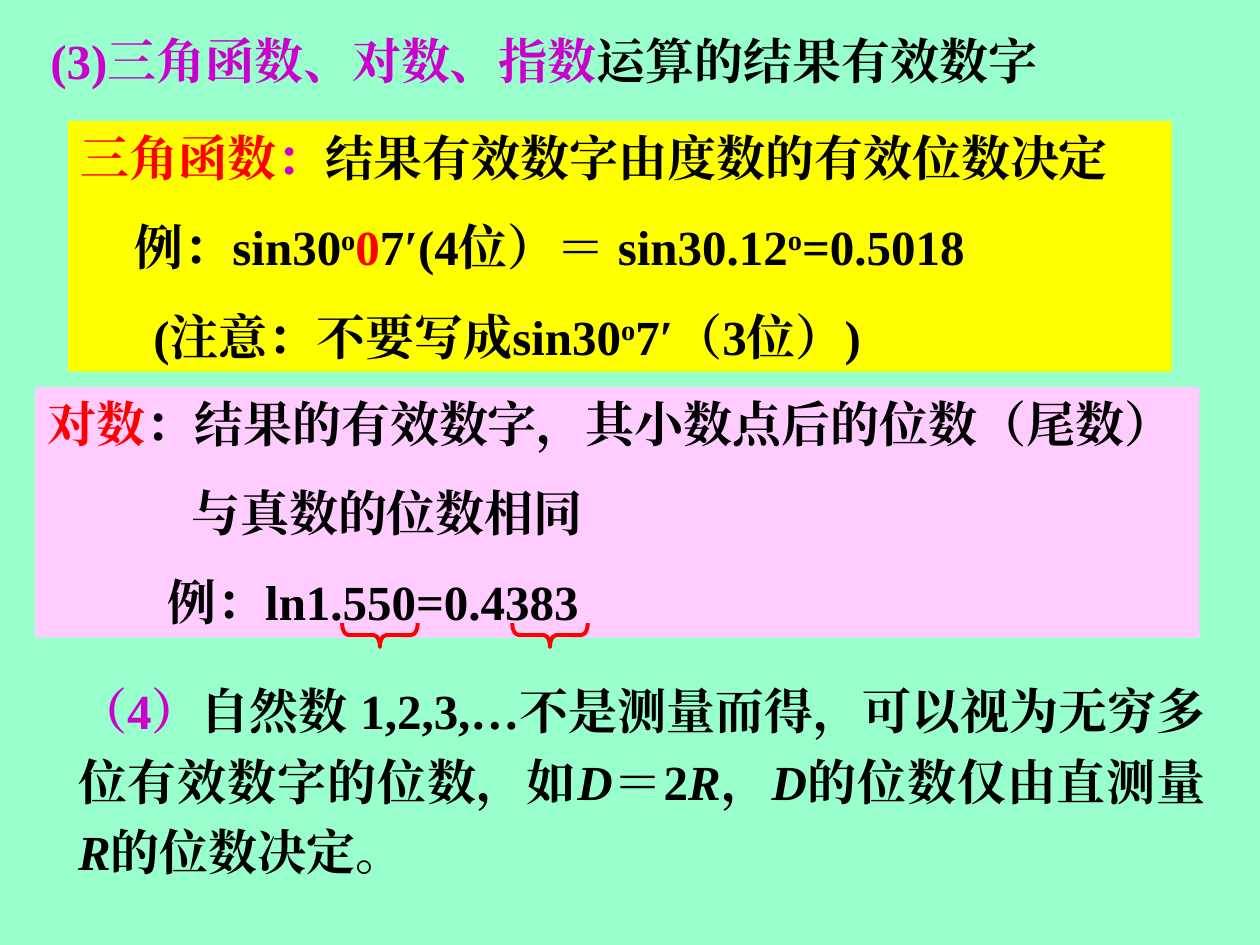
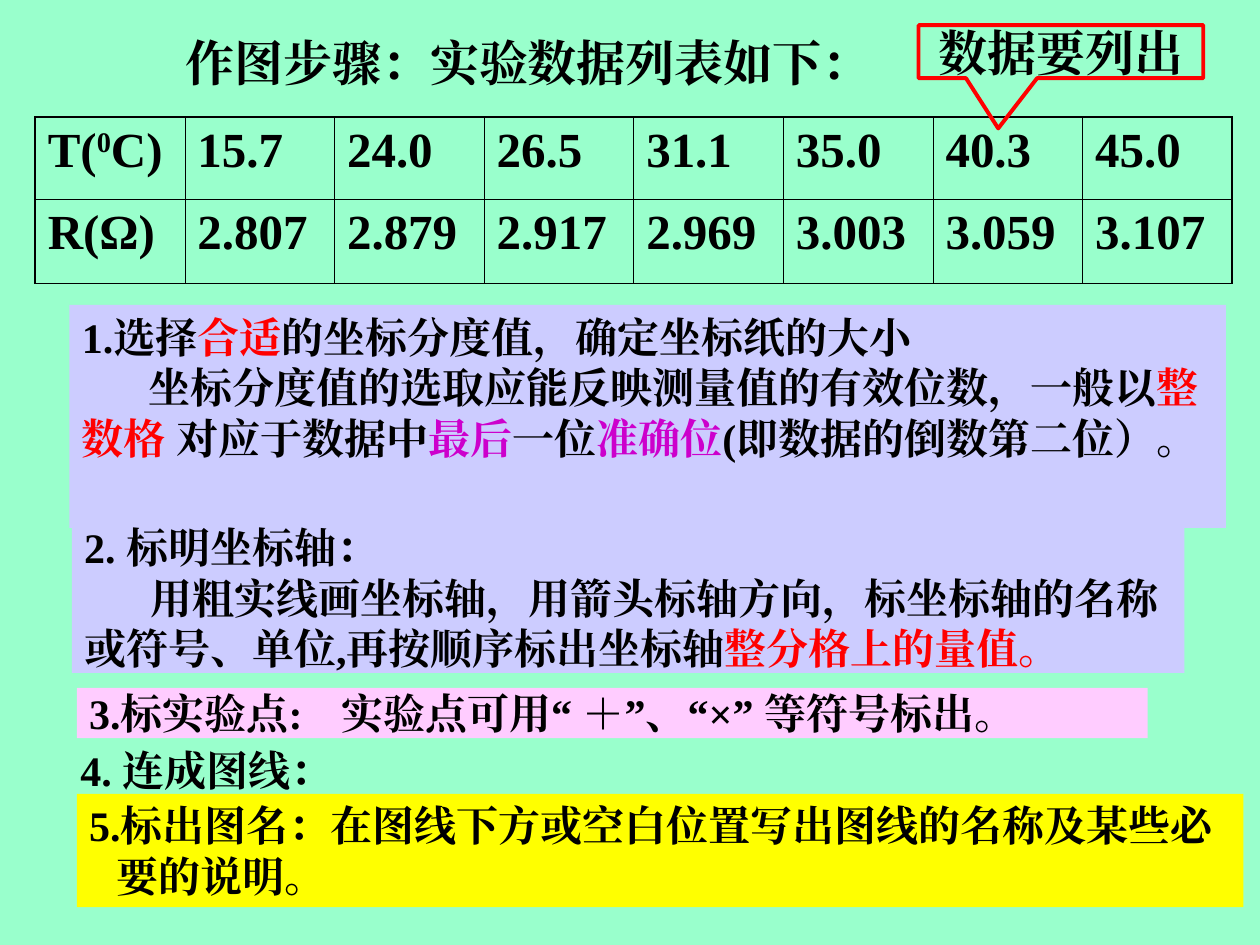
from dataclasses import dataclass

from lxml import etree
from pptx import Presentation
from pptx.dml.color import RGBColor
from pptx.enum.lang import MSO_LANGUAGE_ID as LANG
from pptx.enum.shapes import MSO_SHAPE as SHAPE
from pptx.enum.text import MSO_ANCHOR as ANCHOR, MSO_AUTO_SIZE as AUTO, PP_ALIGN as ALIGN
from pptx.oxml.ns import qn
from pptx.util import Emu, Pt

PX = 9144  # 100 px to the inch


@dataclass(frozen=True)
class Theme:
    font: str = "Times New Roman"
    large: int = 28
    small: int = 24
    gap: float = 17.5
    outer_line: float = 1.08
    inner_line: float = 0.45
    accent_line: float = 2.25
    mint: str = "99FFCC"
    yellow: str = "FFFF00"
    pink: str = "FFCCFF"
    lilac: str = "CCCCFF"
    black: str = "000000"
    red: str = "FF0000"
    purple: str = "CC00CC"


@dataclass(frozen=True)
class Para:
    pieces: tuple
    first: int = 0  # first-line indent, px
    tab: int = 0    # tab stop, px


def para(*pieces, first=0, tab=0):
    return Para(pieces, first, tab)


def px(n):
    return Emu(n * PX)


def rgb(color):
    return RGBColor.from_string(color)


class Deck:
    def __init__(self, theme):
        self.theme = theme
        self.prs = Presentation()
        self.prs.slide_width, self.prs.slide_height = px(1000), px(750)
        fill = self.prs.slide_master.background.fill
        fill.solid()
        fill.fore_color.rgb = rgb(theme.mint)
        self.slide = None

    def new_slide(self):
        self.slide = self.prs.slides.add_slide(self.prs.slide_layouts[1])

    def put_text(self, tf, paras, size, align=ALIGN.LEFT, space=0, leading=1):
        """Fill a text frame; a piece is a string or (string, style)."""
        for i, item in enumerate(paras):
            p = tf.paragraphs[0] if i == 0 else tf.add_paragraph()
            p.alignment, p.line_spacing = align, leading
            p.space_before = Pt(space)
            pPr = p._p.get_or_add_pPr()
            pPr.set("marL", "0")
            pPr.set("indent", str(px(item.first)))
            etree.SubElement(pPr, qn("a:buNone"))
            if item.tab:
                tabs = etree.SubElement(pPr, qn("a:tabLst"))
                etree.SubElement(tabs, qn("a:tab"), pos=str(px(item.tab)), algn="l")
            for piece in item.pieces:
                text, style = (piece, {}) if isinstance(piece, str) else piece
                r = p.add_run()
                r.text = text
                self.style_run(r, size, **style)

    def style_run(self, r, size, color=None, italic=False, raised=False):
        f = r.font
        f.name, f.size, f.bold, f.italic = self.theme.font, Pt(size), True, italic
        f.color.rgb = rgb(color or self.theme.black)
        f.language_id = LANG.SIMPLIFIED_CHINESE
        rPr = r._r.get_or_add_rPr()
        etree.SubElement(rPr, qn("a:ea"), typeface=self.theme.font)
        if raised:
            rPr.set("baseline", "30000")

    def frame(self, sp, box, paras, size, fill=None, anchor=ANCHOR.TOP,
              insets=(10, 5, 10, 5), **layout):
        """Place and fill any shape that carries text."""
        sp.left, sp.top, sp.width, sp.height = map(px, box)
        if fill:
            sp.fill.solid()
            sp.fill.fore_color.rgb = rgb(fill)
        else:
            sp.fill.background()
        tf = sp.text_frame
        tf.word_wrap, tf.auto_size, tf.vertical_anchor = True, AUTO.NONE, anchor
        tf.margin_left, tf.margin_top, tf.margin_right, tf.margin_bottom = map(px, insets)
        self.put_text(tf, paras, size, **layout)

    def title(self, box, *pieces, **style):
        self.frame(self.slide.shapes.title, box, [para(*pieces)],
                   self.theme.large, **style)

    def body(self, box, paras, size, **style):
        self.frame(self.slide.placeholders[1], box, paras, size, **style)

    def shape(self, kind, box, line=None):
        sp = self.slide.shapes.add_shape(kind, *map(px, box))
        sp.shadow.inherit = False
        if line:
            sp.line.color.rgb = rgb(line)
            sp.line.width = Pt(self.theme.accent_line)
        else:
            sp.line.fill.background()
        return sp

    def panel(self, box, paras, size, fill, **style):
        self.frame(self.shape(SHAPE.RECTANGLE, box), box, paras, size, fill, **style)

    def callout(self, box, text, tip):
        sp = self.shape(SHAPE.RECTANGULAR_CALLOUT, box, self.theme.red)
        sp.adjustments[0], sp.adjustments[1] = tip
        self.frame(sp, box, [para(text)], self.theme.large,
                   anchor=ANCHOR.MIDDLE, align=ALIGN.CENTER)

    def brace(self, box):
        sp = self.shape(SHAPE.RIGHT_BRACE, box, self.theme.red)
        sp.fill.background()
        sp.rotation = 90
        sp.adjustments[0] = 0.26

    def table(self, box, rows, heights):
        last_row, last_col = len(rows) - 1, len(rows[0]) - 1
        table = self.slide.shapes.add_table(len(rows), len(rows[0]), *map(px, box)).table
        table.first_row = table.horz_banding = False
        for i, (row, height) in enumerate(zip(rows, heights)):
            table.rows[i].height = px(height)
            for j, item in enumerate(row):
                cell = table.cell(i, j)
                self.put_text(cell.text_frame, [item], self.theme.large)
                self.borders(cell, L=j == 0, R=j == last_col, T=i == 0, B=i == last_row)
                cell.fill.background()

    def borders(self, cell, **outer_sides):
        tcPr = cell._tc.get_or_add_tcPr()
        for side, outer in outer_sides.items():
            width = self.theme.outer_line if outer else self.theme.inner_line
            ln = etree.SubElement(tcPr, qn(f"a:ln{side}"), w=str(Pt(width)))
            fill = etree.SubElement(ln, qn("a:solidFill"))
            etree.SubElement(fill, qn("a:srgbClr"), val=self.theme.black)


THEME = Theme()
RED, PURPLE = {"color": THEME.red}, {"color": THEME.purple}
ITALIC, RAISED = {"italic": True}, {"raised": True}


def significant_digits(deck):
    t = deck.theme
    deck.new_slide()
    deck.title((30, 19, 951, 57), ("(3)三角函数、对数、指数", PURPLE), "运算的结果有效数字")

    # Rules for trigonometric functions and logarithms
    deck.panel((54, 96, 876, 199), [
        para(("三角函数", RED), ("：", PURPLE), "结果有效数字由度数的有效位数决定"),
        para("例：sin30", ("o", RAISED), ("0", RED), "7′(4位）＝ sin30.12",
             ("o", RAISED), "=0.5018", first=43),
        para("(注意：不要写成sin30", ("o", RAISED), "7′（3位）)", first=58),
    ], t.large, t.yellow, space=t.gap)
    deck.panel((28, 307, 924, 199), [
        para(("对数", RED), "：结果的有效数字，其小数点后的位数（尾数）"),
        para("与真数的位数相同", first=114),
        para("例：ln1.550=0.4383", first=95),
    ], t.large, t.pink, space=t.gap)

    # Braces under the matching digits
    for left in (292, 427):
        deck.brace((left, 474, 19, 60))

    # Natural numbers
    deck.body((52, 526, 915, 178), [
        para(("（4）", PURPLE),
             "自然数 1,2,3,…不是测量而得，可以视为无穷多位有效数字的位数，如",
             ("D", ITALIC), "＝2", ("R", ITALIC), "，", ("D", ITALIC),
             "的位数仅由直测量", ("R", ITALIC), "的位数决定。"),
    ], t.large, align=ALIGN.JUSTIFY, space=t.gap, leading=1.2)


def plotting_steps(deck):
    t = deck.theme
    deck.new_slide()
    deck.title((119, 21, 600, 57), "作图步骤：实验数据列表如下：",
               anchor=ANCHOR.MIDDLE, align=ALIGN.CENTER)

    # Measured data
    temperatures = "15.7 24.0 26.5 31.1 35.0 40.3 45.0".split()
    resistances = "2.807 2.879 2.917 2.969 3.003 3.059 3.107".split()
    deck.table((28, 93, 950, 132), [
        [para("T(", ("0", RAISED), "C)"), *map(para, temperatures)],
        [para("R(Ω)"), *map(para, resistances)],
    ], heights=(65, 67))

    # Steps 1 to 5
    deck.body((55, 242, 918, 177), [
        para("1.选择", ("合适", RED), "的坐标分度值，确定坐标纸的大小"),
        para("坐标分度值的选取应能反映测量值的有效位数，一般以", ("整数格", RED),
             " 对应于数据中", ("最后", PURPLE), "一位", ("准确位", PURPLE),
             "(即数据的倒数第二位）。", first=53),
    ], t.small, fill=t.lilac)
    deck.panel((57, 414, 883, 120), [
        para("2. 标明坐标轴："),
        para("用粗实线画坐标轴，用箭头标轴方向，标坐标轴的名称或符号、单位,"
             "再按顺序标出坐标轴", ("整分格上的量值。", RED), first=53),
    ], t.small, t.lilac, insets=(10, 0, 10, 0))
    deck.panel((54, 591, 231, 40), [para("4. 连成图线：")],
               t.small, t.mint, insets=(10, 0, 0, 0))
    deck.panel((61, 546, 850, 40),
               [para("3.标实验点:\t实验点可用“ ＋”、“×” 等符号标出。", tab=218)],
               t.small, t.pink, anchor=ANCHOR.MIDDLE, insets=(10, 0, 0, 0))
    deck.panel((61, 630, 926, 90), [
        para("5.标出图名：在图线下方或空白位置写出图线的名称及某些必"),
        para("要的说明。", first=22),
    ], t.small, t.yellow, insets=(10, 5, 0, 5))

    # Reminder pointing at the table
    deck.callout((729, 20, 226, 42), "数据要列出", tip=(-0.22, 1.45))


def main():
    deck = Deck(THEME)
    significant_digits(deck)
    plotting_steps(deck)
    deck.prs.save("out.pptx")


if __name__ == "__main__":
    main()
